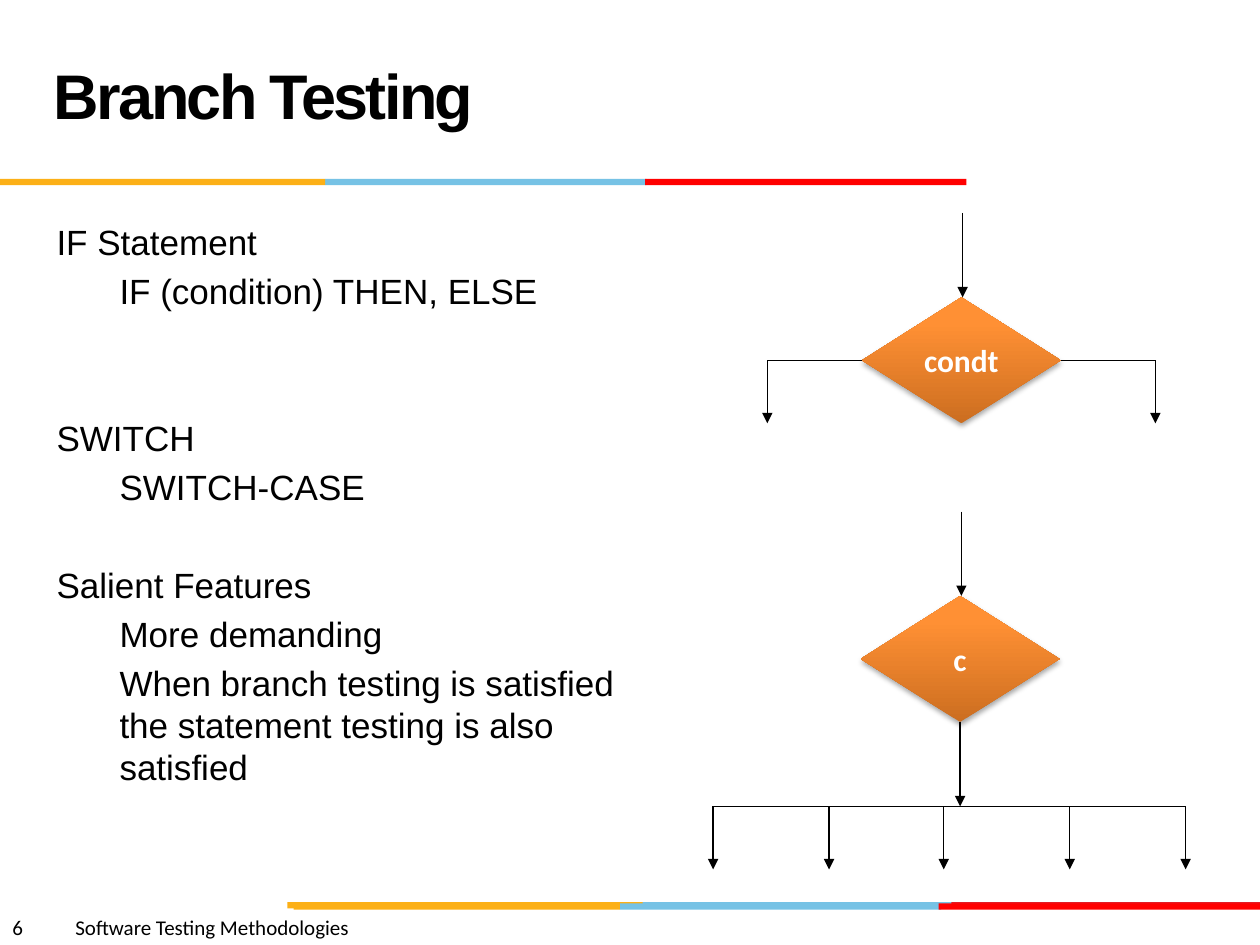
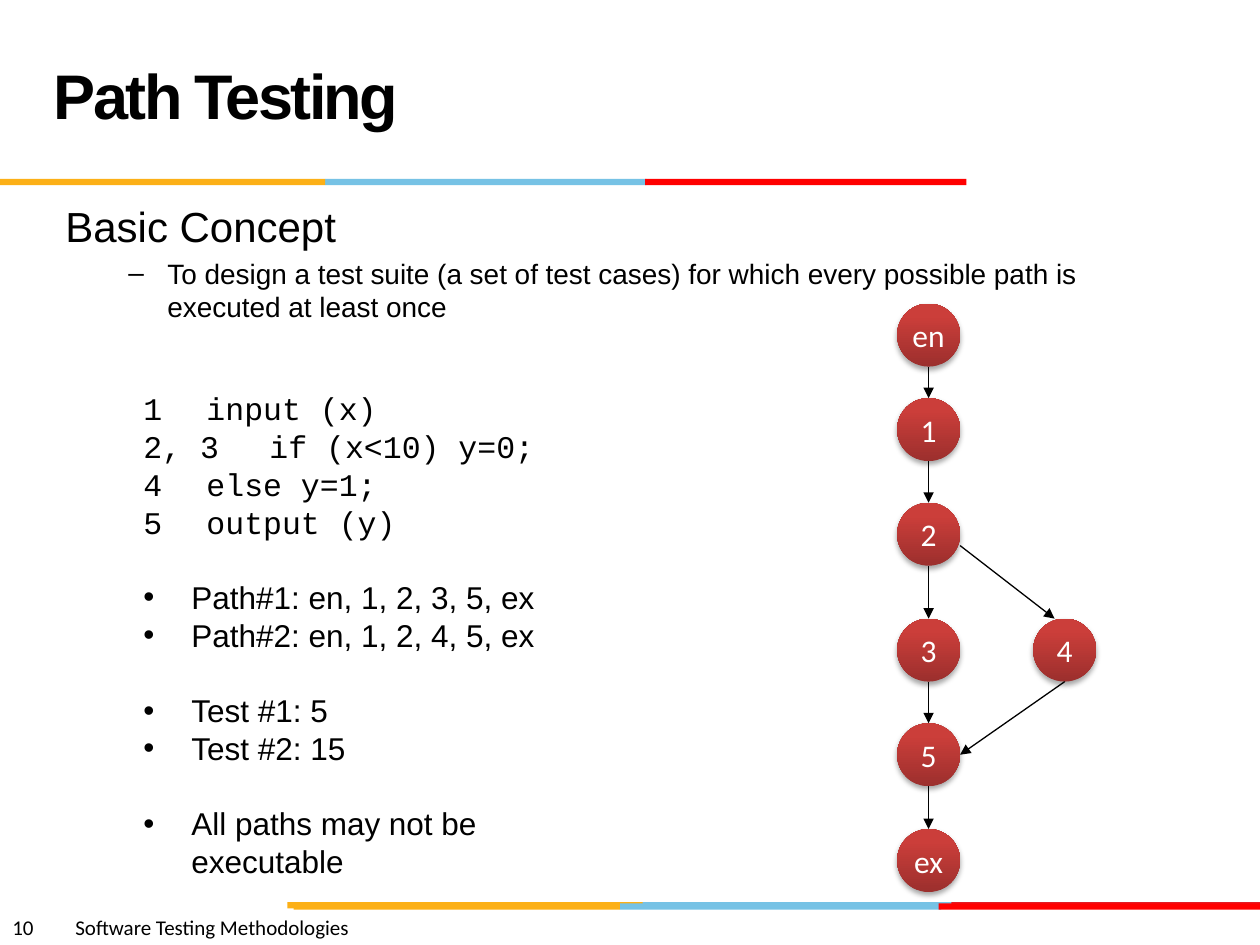
from dataclasses import dataclass
from itertools import pairwise
from typing import Any, NamedTuple

from lxml.etree import SubElement
from pptx import Presentation
from pptx.dml.color import RGBColor
from pptx.enum.shapes import MSO_CONNECTOR, MSO_SHAPE
from pptx.enum.text import MSO_ANCHOR, PP_ALIGN
from pptx.oxml.ns import qn
from pptx.util import Emu, Inches, Pt

COLS, ROWS = 100, 75
CELL = Inches(0.1)

HUES = {
    "ink": "000000", "paper": "FFFFFF", "amber": "FCB017", "sky": "76C2E5",
    "crimson": "E31C24", "red": "FF0000", "rust": "CC6E20", "orange": "FF9034",
    "wine": "9C2F2D", "brick": "CB3E3A",
}
TITLE = {"name": "Arial", "size": Pt(36), "bold": True}
FOOT = {"name": "Calibri", "size": Pt(12)}
LABEL = {"name": "Calibri", "size": Pt(18)}
STRONG = LABEL | {"bold": True}
CODE = {"name": "Courier New", "size": Pt(18)}


class Box(NamedTuple):
    left: float
    top: float
    wide: float
    high: float


class Band(NamedTuple):
    tone: str
    left: float
    top: float
    wide: float


@dataclass(frozen=True)
class Line:
    text: str
    font: dict[str, Any]
    gap: float = 0
    level: int = 0
    left: float = 0
    hang: float = 0
    mark: str = ""
    tab: float = 0


@dataclass(frozen=True)
class Look:
    kind: MSO_SHAPE
    dark: str
    light: str
    font: dict[str, Any]


BANDS = [
    Band("sky", 50.6, 71.6, 25.5),
    Band("crimson", 75.5, 71.6, 24.5),
    Band("amber", 22.8, 71.6, 28.2),
    Band("sky", 49.2, 71.7, 25.5),
    Band("amber", 23.3, 71.7, 25.9),
    Band("red", 74.5, 71.7, 25.5),
    Band("sky", 25.8, 14.2, 25.5),
    Band("amber", 0, 14.2, 25.8),
    Band("red", 51.2, 14.2, 25.5),
]
CHOICE = Look(MSO_SHAPE.FLOWCHART_DECISION, "rust", "orange", STRONG)
NODE = Look(MSO_SHAPE.FLOWCHART_CONNECTOR, "wine", "brick", LABEL)


def grid(count: float) -> Emu:
    return Emu(round(count * CELL))


def hue(tone: str) -> RGBColor:
    return RGBColor.from_string(HUES[tone])


def style(item: Any, values: dict[str, Any]) -> None:
    for name, value in values.items():
        setattr(item, name, value)


def write(para: Any, text: str, font: dict[str, Any], tone: str = "ink") -> Any:
    run = para.add_run()
    run.text = text
    style(run.font, font)
    run.font.color.rgb = hue(tone)
    return run


def add_lines(slide: Any, box: Box, lines: list[Line]) -> Any:
    frame = slide.shapes.add_textbox(*map(grid, box)).text_frame
    frame.word_wrap = True
    for place, line in enumerate(lines):
        para = frame.add_paragraph() if place else frame.paragraphs[0]
        style(para, {"level": line.level, "space_before": Pt(line.gap)})
        props = para._p.get_or_add_pPr()
        props.set("marL", str(grid(line.left)))
        props.set("indent", str(-grid(line.hang)))
        if line.mark:
            SubElement(props, qn("a:buFont"), typeface="Arial")
            SubElement(props, qn("a:buChar"), char=line.mark)
        if line.tab:
            tabs = SubElement(props, qn("a:tabLst"))
            SubElement(tabs, qn("a:tab"), pos=str(grid(line.tab)), algn="l")
        write(para, line.text, line.font)
    return frame


def add_band(slide: Any, band: Band) -> None:
    spot = Box(band.left, band.top, band.wide, 0.5)
    shape = slide.shapes.add_shape(MSO_SHAPE.RECTANGLE, *map(grid, spot))
    shape.shadow.inherit = False
    shape.fill.solid()
    shape.fill.fore_color.rgb = hue(band.tone)
    shape.line.fill.background()


def add_node(slide: Any, box: Box, text: str, look: Look) -> None:
    shape = slide.shapes.add_shape(look.kind, *map(grid, box))
    shape.line.fill.background()
    shape.fill.gradient()
    shape.fill.gradient_angle = 90
    stops = zip(shape.fill.gradient_stops, (look.dark, look.light), (0, 0.8))
    for stop, tone, share in stops:
        stop.color.rgb = hue(tone)
        stop.position = share
    shape.shadow.inherit = False
    glow = SubElement(
        shape.element.spPr.find(qn("a:effectLst")), qn("a:outerShdw"),
        blurRad=str(Pt(3.1)), dist=str(Pt(1.8)), dir="5400000", rotWithShape="0",
    )
    shade = SubElement(glow, qn("a:srgbClr"), val=HUES["ink"])
    SubElement(shade, qn("a:alpha"), val="35000")
    frame = shape.text_frame
    style(frame, {"word_wrap": False, "vertical_anchor": MSO_ANCHOR.MIDDLE})
    para = frame.paragraphs[0]
    para.alignment = PP_ALIGN.CENTER
    write(para, text, look.font, "paper")


def add_wire(slide: Any, x: float, y: float, to_x: float, to_y: float,
             arrow: bool = True) -> None:
    ends = map(grid, (x, y, to_x, to_y))
    wire = slide.shapes.add_connector(MSO_CONNECTOR.STRAIGHT, *ends)
    wire.line.width = Pt(0.75)
    wire.line.color.rgb = hue("ink")
    props = wire.element.spPr
    if arrow:
        SubElement(props.find(qn("a:ln")), qn("a:tailEnd"), type="triangle")
    SubElement(props, qn("a:effectLst"))


def add_fork(slide: Any, row: float, bars: list[tuple[float, float]],
             drops: list[float]) -> None:
    for start, end in bars:
        add_wire(slide, start, row, end, row, False)
    for col in drops:
        add_wire(slide, col, row, col, row + 5)


def add_page(deck: Any, title: str, number: int) -> Any:
    slide = deck.slides.add_slide(deck.slide_layouts[6])
    for band in BANDS:
        add_band(slide, band)
    tab = 3.75 + 0.82 * len(str(number))
    foot = Line(f"{number}\tSoftware Testing Methodologies", FOOT, tab=tab)
    add_lines(slide, Box(0, 72.1, 50, 3), [foot])
    frame = add_lines(slide, Box(3.3, 1.7, 69.2, 12.5), [Line(title, TITLE)])
    frame.vertical_anchor = MSO_ANCHOR.MIDDLE
    para = frame.paragraphs[0]
    para.line_spacing = Pt(36)
    para.runs[0]._r.get_or_add_rPr().set("spc", "-150")
    return slide


def sans(size: int) -> dict[str, Any]:
    return {"name": "Arial", "size": Pt(size)}


def draw_branch(deck: Any) -> None:
    slide = add_page(deck, "Branch Testing", 6)
    body = sans(20)
    sub = {"font": body, "gap": 4, "level": 1, "left": 5}
    add_lines(slide, Box(3.5, 17, 47.5, 48.4), [
        Line("IF Statement", body),
        Line("IF (condition) THEN, ELSE", **sub),
        Line("SWITCH", body, gap=60),
        Line("SWITCH-CASE", **sub),
        Line("Salient Features", body, gap=32),
        Line("More demanding", **sub),
        Line("When branch testing is satisfied the statement testing is "
             "also satisfied", **sub),
    ])
    for text, left, top in (("condt", 68.4, 23.6), ("c", 68.3, 47.3)):
        add_node(slide, Box(left, top, 15.8, 10), text, CHOICE)
        mid = left + 8
        add_wire(slide, mid, top - 6.7, mid, top)
    add_fork(slide, 28.6, [(60.9, 68.4), (84.2, 91.7)], [60.9, 91.7])
    add_wire(slide, 76.2, 57.3, 76.2, 64)
    add_fork(slide, 64, [(56.6, 94.1)], [56.6, 65.8, 74.9, 84.9, 94.1])


def draw_path(deck: Any) -> None:
    slide = add_page(deck, "Path Testing", 10)
    add_lines(slide, Box(4.2, 15.4, 90.8, 15), [
        Line("Basic Concept", sans(24), left=3.8, hang=3.8),
        Line("To design a test suite (a set of test cases) for which every "
             "possible path is executed at least once", sans(16), gap=3.2,
             level=1, left=8.1, hang=3.1, mark="–"),
    ])
    item = {"font": sans(18), "left": 3.8, "hang": 3.8, "mark": "•"}
    add_lines(slide, Box(10.4, 30.4, 41.2, 37), [
        Line("1\tinput (x)", CODE, tab=7.5),
        Line("2, 3\tif (x<10) y=0;", CODE, tab=7.5),
        Line("4\telse y=1;", CODE, tab=10.5),
        Line("5\toutput (y)", CODE, tab=3.8),
        Line("Path#1: en, 1, 2, 3, 5, ex", gap=21.5, **item),
        Line("Path#2: en, 1, 2, 4, 5, ex", **item),
        Line("Test #1: 5", gap=21.5, **item),
        Line("Test #2: 15", **item),
        Line("All paths may not be executable", gap=21.5, **item),
    ])
    size, left = 5, 71.2
    mid, edge = left + size / 2, left + size
    tops = {"en": 24.1, "1": 31.6, "2": 39.9, "3": 49.1, "5": 57.4, "ex": 65.8}
    for text, top in tops.items():
        add_node(slide, Box(left, top, size, size), text, NODE)
    add_node(slide, Box(82, tops["3"], size, size), "4", NODE)
    for upper, lower in pairwise(tops.values()):
        add_wire(slide, mid, upper + size, mid, lower)
    add_wire(slide, edge, 43.3, 83.7, tops["3"])
    add_wire(slide, 84.5, tops["3"] + size, edge, tops["5"] + size / 2)


def main() -> None:
    deck = Presentation()
    style(deck, {"slide_width": grid(COLS), "slide_height": grid(ROWS)})
    draw_branch(deck)
    draw_path(deck)
    deck.save("out.pptx")


if __name__ == "__main__":
    main()
